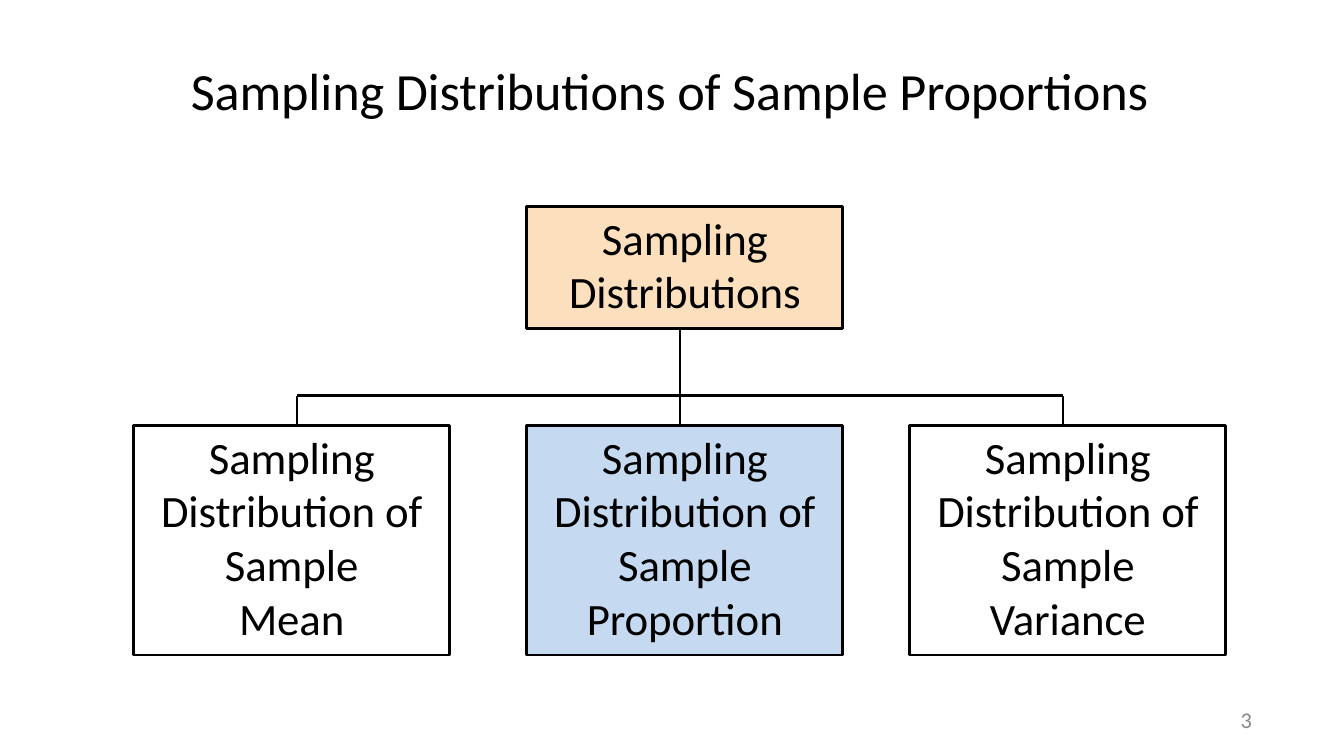
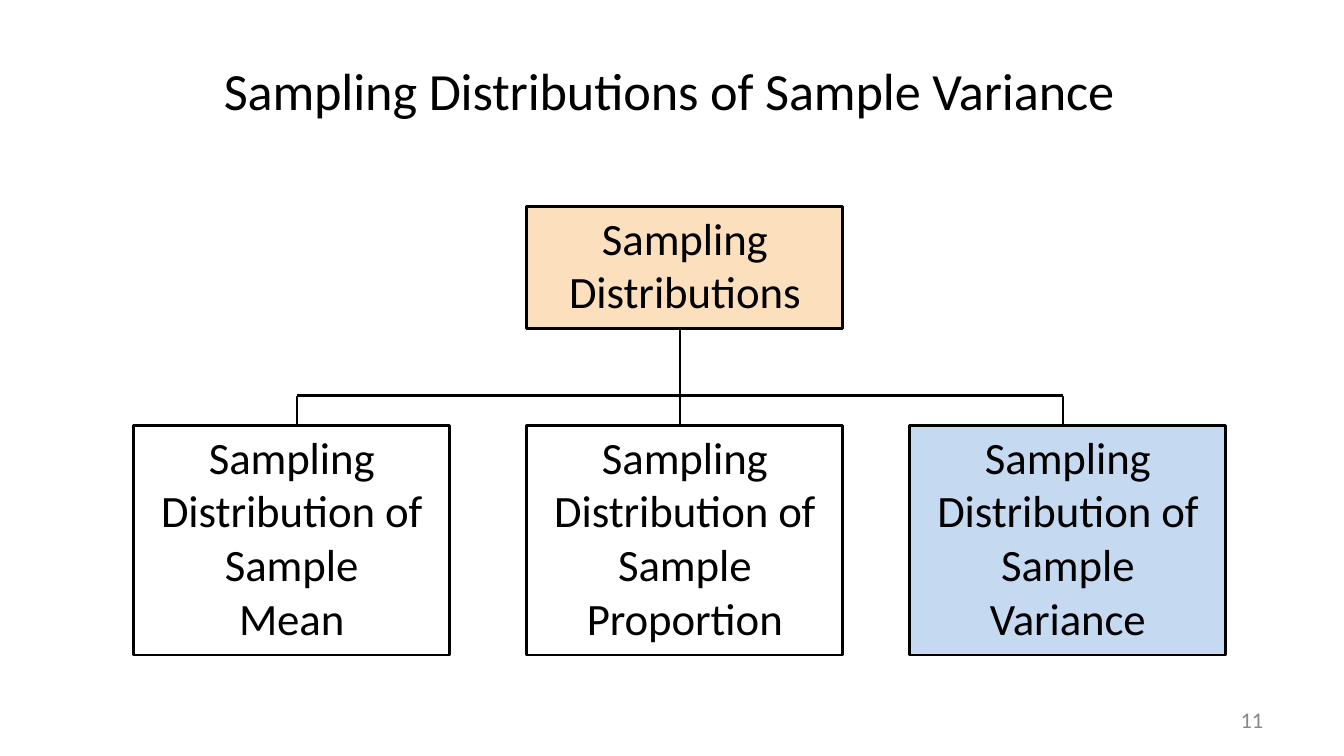
from pptx import Presentation
from pptx.dml.color import RGBColor
from pptx.enum.shapes import MSO_CONNECTOR, MSO_SHAPE
from pptx.enum.text import MSO_ANCHOR, MSO_AUTO_SIZE, PP_ALIGN
from pptx.oxml.ns import qn
from pptx.util import Emu, Pt
from lxml.etree import SubElement

EMU_PER_PX = 4572
SLIDE_WIDTH, SLIDE_HEIGHT = 2000, 1125

BLACK = RGBColor(0x00, 0x00, 0x00)
WHITE = RGBColor(0xFF, 0xFF, 0xFF)
GREY = RGBColor(0x88, 0x88, 0x88)
PEACH = RGBColor(0xFC, 0xDF, 0xBC)
BLUE = RGBColor(0xC5, 0xD9, 0xF0)

FONT = "Calibri"
LINE_WIDTH = Pt(1.5)

BOX_WIDTH = 470
ROOT_TOP, ROOT_HEIGHT = 307, 182
BRANCH_TOP, BRANCH_HEIGHT = 633, 342
BUS_TOP = 589
BRANCHES = [
    ("Mean", 199, 442, ["Sampling Distribution of Sample", "Mean"]),
    ("Proportion", 784, 1012, ["Sampling Distribution of Sample Proportion"]),
    ("Variance", 1354, 1582, ["Sampling Distribution of Sample Variance"]),
]
ROOT_LEFT, TRUNK_X = BRANCHES[1][1:3]

PAGES = [
    ("Sampling Distributions of Sample Proportions", 1436, "Proportion", "3"),
    ("Sampling Distributions of Sample Variance", 1338, "Variance", "11"),
]


def px(length):
    return Emu(length * EMU_PER_PX)


def set_frame(frame, side_margin, top_margin, wrap):
    frame.margin_left = frame.margin_right = px(side_margin)
    frame.margin_top = px(top_margin)
    frame.margin_bottom = 0
    frame.vertical_anchor = MSO_ANCHOR.TOP
    frame.auto_size = MSO_AUTO_SIZE.NONE
    frame.word_wrap = wrap


def add_text(frame, paragraphs, size, color, align=PP_ALIGN.LEFT, spacing=-5):
    for index, text in enumerate(paragraphs):
        para = frame.add_paragraph() if index else frame.paragraphs[0]
        para.alignment = align
        span = para.add_run()
        span.text = text
        span.font.name = FONT
        span.font.size = Pt(size)
        span.font.color.rgb = color
        if spacing:
            span.font._element.set("spc", str(spacing))


def add_title(page, text, width):
    title = page.shapes.title
    title.left, title.top = px((SLIDE_WIDTH - width) // 2), px(84)
    title.width, title.height = px(width), px(98)
    set_frame(title.text_frame, 2, 2, True)
    title.text_frame.margin_right = 0
    add_text(title.text_frame, [text], 28, BLACK)
    title.text_frame.paragraphs[0].space_before = Pt(0.9)


def add_box(page, left, top, height, fill, paragraphs):
    box = page.shapes.add_shape(
        MSO_SHAPE.RECTANGLE, px(left), px(top), px(BOX_WIDTH), px(height)
    )
    box.shadow.inherit = False
    box.fill.solid()
    box.fill.fore_color.rgb = fill
    box.line.color.rgb = BLACK
    box.line.width = LINE_WIDTH
    set_frame(box.text_frame, 37, 6, True)
    add_text(box.text_frame, paragraphs, 24, BLACK, PP_ALIGN.CENTER)
    box.text_frame.paragraphs[0].space_before = Pt(1)


def add_line(page, x1, y1, x2, y2):
    line = page.shapes.add_connector(
        MSO_CONNECTOR.STRAIGHT, px(x1), px(y1), px(x2), px(y2)
    )
    line.line.color.rgb = BLACK
    line.line.width = LINE_WIDTH
    SubElement(line._element.spPr, qn("a:effectLst"))


def add_page_number(page, number):
    box = page.shapes.add_textbox(px(1838), px(1057), px(54), px(38))
    set_frame(box.text_frame, 0, 0, True)
    box.text_frame.margin_left = px(8)
    add_text(box.text_frame, [number], 12, GREY, spacing=0)
    box.text_frame.paragraphs[0].line_spacing = Pt(12.4)


def add_tree(page, highlight):
    add_line(page, TRUNK_X, ROOT_TOP + ROOT_HEIGHT, TRUNK_X, BUS_TOP)
    add_line(page, BRANCHES[0][2], BUS_TOP, BRANCHES[-1][2], BUS_TOP)
    add_box(page, ROOT_LEFT, ROOT_TOP, ROOT_HEIGHT, PEACH, ["Sampling Distributions"])
    for name, left, drop_x, paragraphs in BRANCHES:
        add_line(page, drop_x, BUS_TOP, drop_x, BRANCH_TOP)
        fill = BLUE if name == highlight else WHITE
        add_box(page, left, BRANCH_TOP, BRANCH_HEIGHT, fill, paragraphs)


def main():
    deck = Presentation()
    deck.slide_width, deck.slide_height = px(SLIDE_WIDTH), px(SLIDE_HEIGHT)
    for title, title_width, highlight, number in PAGES:
        page = deck.slides.add_slide(deck.slide_layouts[5])
        add_title(page, title, title_width)
        add_tree(page, highlight)
        add_page_number(page, number)
    deck.save("out.pptx")


if __name__ == "__main__":
    main()
